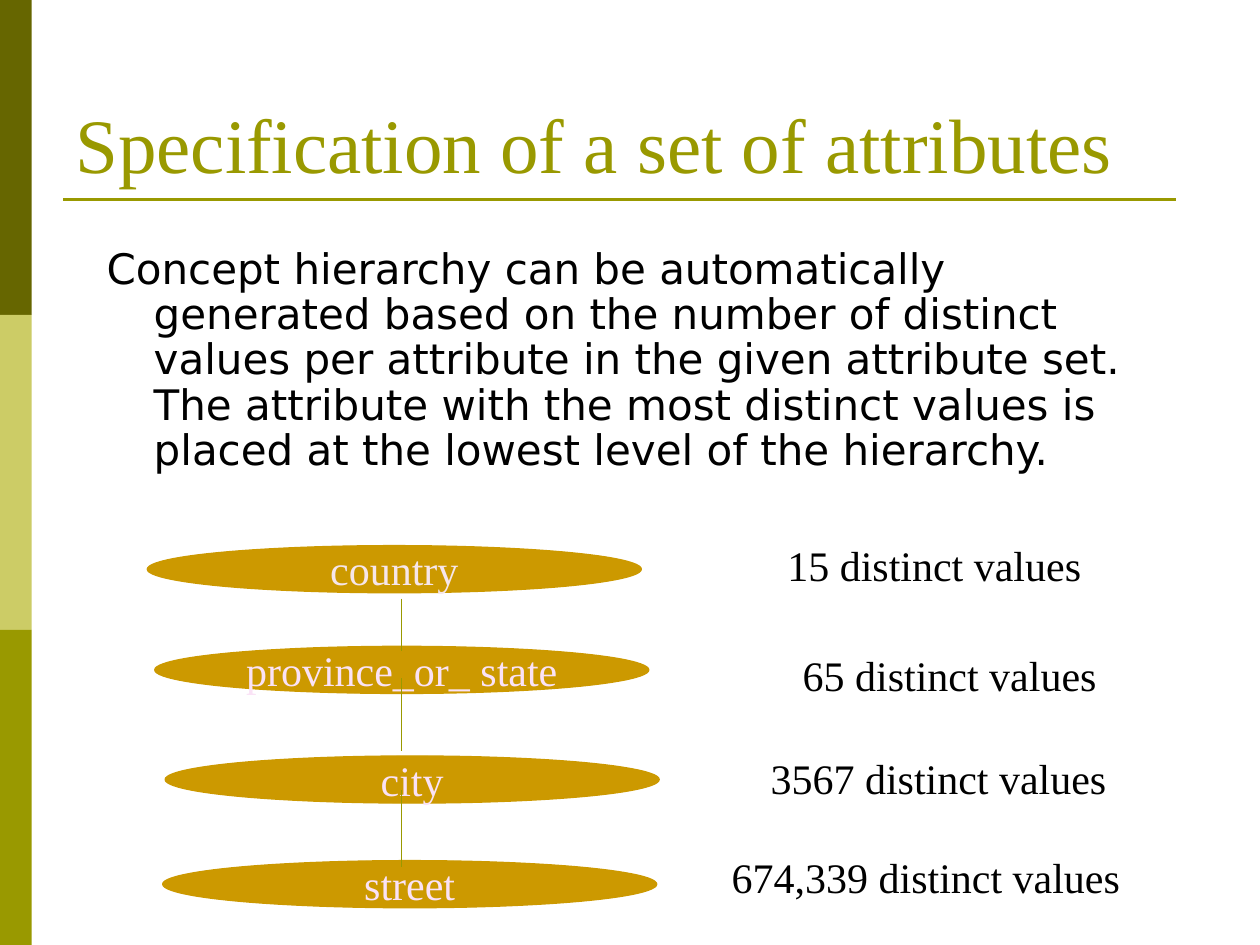
import pptx
import pptx.util
import pptx.dml.color
import pptx.enum.shapes
import pptx.enum.text
import pptx.oxml.ns
from lxml import etree
from pptx.util import Cm, Pt

THEME = {
    "serif": "Times New Roman", "sans": "DejaVu Sans",
    "title_size": 44, "text_size": 24,
    "olive": "999900", "gold": "CC9900", "black": "000000",
    "pink": "F6E6EA", "lilac": "FAE2F6",
    "bands": ["666600", "CCCC66", "999900"],
}
TITLE = "Specification of a set of attributes"
BODY = (
    "Concept hierarchy can be automatically generated based on the number of "
    "distinct values per attribute in the given attribute set. The attribute with "
    "the most distinct values is placed at the lowest level of the hierarchy."
)
LEVELS = [
    ("country", 2.97, 11, "pink"),
    ("province_or_ state", 3.12, 13.03, "lilac"),
    ("city", 3.33, 15.24, "lilac"),
    ("street", 3.28, 17.35, "lilac"),
]
COUNTS = [
    ("15 distinct values", 15.52, 10.76, 6.63),
    ("65 distinct values", 15.83, 12.97, 6.63),
    ("3567 distinct values", 15.19, 15.04, 7.46),
    ("674,339 distinct values", 14.4, 17.05, 8.53),
]
LINK_X = 8.1
LINKS = [(12.07, 13.13), (13.67, 15.14), (15.93, 17.48)]
ALIGN = pptx.enum.text.PP_ALIGN
ANCHOR = pptx.enum.text.MSO_ANCHOR


def rgb(name):
    return pptx.dml.color.RGBColor.from_string(THEME.get(name, name))


def write(sp, text, color, size="text_size", font="serif", align=ALIGN.CENTER,
          anchor=ANCHOR.TOP, wrap=True):
    tf = sp.text_frame
    tf.text = text
    tf.word_wrap = wrap
    tf.vertical_anchor = anchor
    p = tf.paragraphs[0]
    p.alignment = align
    f = p.runs[0].font
    f.name, f.size = THEME[font], Pt(THEME[size])
    f.color.rgb = rgb(color)
    return p


def add_box(s, left, top, width, height):
    return s.shapes.add_textbox(Cm(left), Cm(top), Cm(width), Cm(height))


def add_filled(s, kind, left, top, width, height, color):
    sp = s.shapes.add_shape(kind, Cm(left), Cm(top), Cm(width), Cm(height))
    sp.shadow.inherit = False
    sp.fill.solid()
    sp.fill.fore_color.rgb = rgb(color)
    sp.line.fill.background()
    return sp


def add_line(s, x1, y1, x2, y2, weight):
    ln = s.shapes.add_connector(
        pptx.enum.shapes.MSO_CONNECTOR.STRAIGHT, Cm(x1), Cm(y1), Cm(x2), Cm(y2))
    ln.line.color.rgb = rgb("olive")
    ln.line.width = Pt(weight)
    etree.SubElement(ln._element.spPr, pptx.oxml.ns.qn("a:effectLst"))


def main():
    """Build the slide on the concept hierarchy of attributes."""
    prs = pptx.Presentation()
    prs.slide_width, prs.slide_height = Cm(25.4), Cm(19.05)
    s = prs.slides.add_slide(prs.slide_layouts[6])
    shapes = pptx.enum.shapes.MSO_SHAPE

    band_height = 19.05 / len(THEME["bands"])
    for i, color in enumerate(THEME["bands"]):
        add_filled(s, shapes.RECTANGLE, 0, i * band_height, 0.64, band_height, color)
    add_line(s, 1.27, 4.02, 23.7, 4.02, 1.5)

    write(add_box(s, 1.27, 0.76, 22.86, 3.18), TITLE, "olive", "title_size",
          align=ALIGN.LEFT, anchor=ANCHOR.BOTTOM)
    p = write(add_box(s, 1.9, 4.87, 21.8, 5.29), BODY, "black", font="sans",
              align=ALIGN.LEFT)
    p.line_spacing, p.space_before = 0.9, Pt(6)
    pPr = p._p.get_or_add_pPr()
    pPr.set("marL", str(Cm(0.95)))
    pPr.set("indent", str(-Cm(0.95)))

    for text, left, top, color in LEVELS:
        sp = add_filled(s, shapes.OVAL, left, top, 9.96, 0.95, "gold")
        sp.line.color.rgb = rgb("gold")
        sp.line.width = Pt(0.75)
        write(sp, text, color, anchor=ANCHOR.MIDDLE, wrap=False)
    for start, end in LINKS:
        add_line(s, LINK_X, start, LINK_X, end, 0.75)
    for text, left, top, width in COUNTS:
        write(add_box(s, left, top, width, 1.27), text, "black")

    prs.save("out.pptx")


if __name__ == "__main__":
    main()
